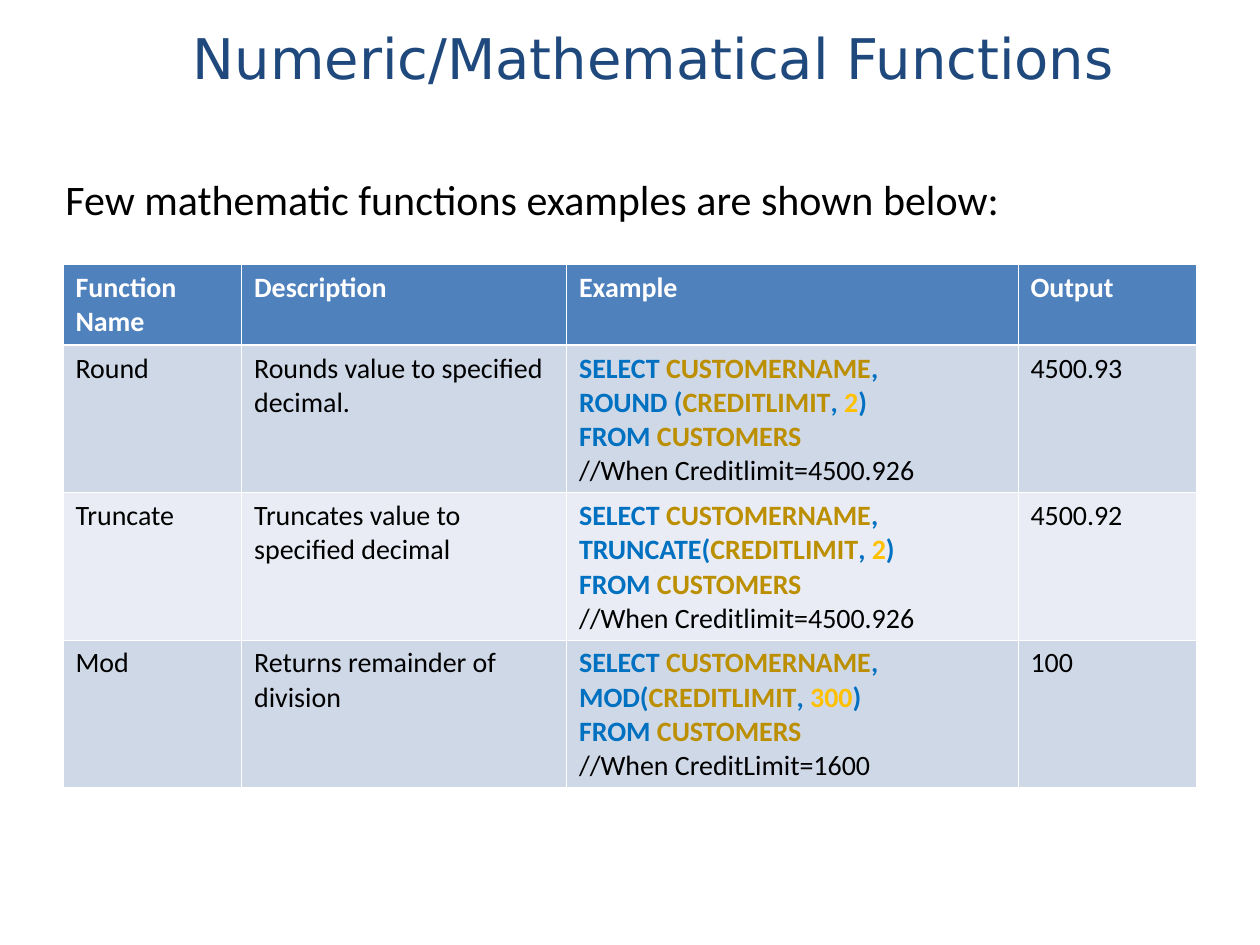
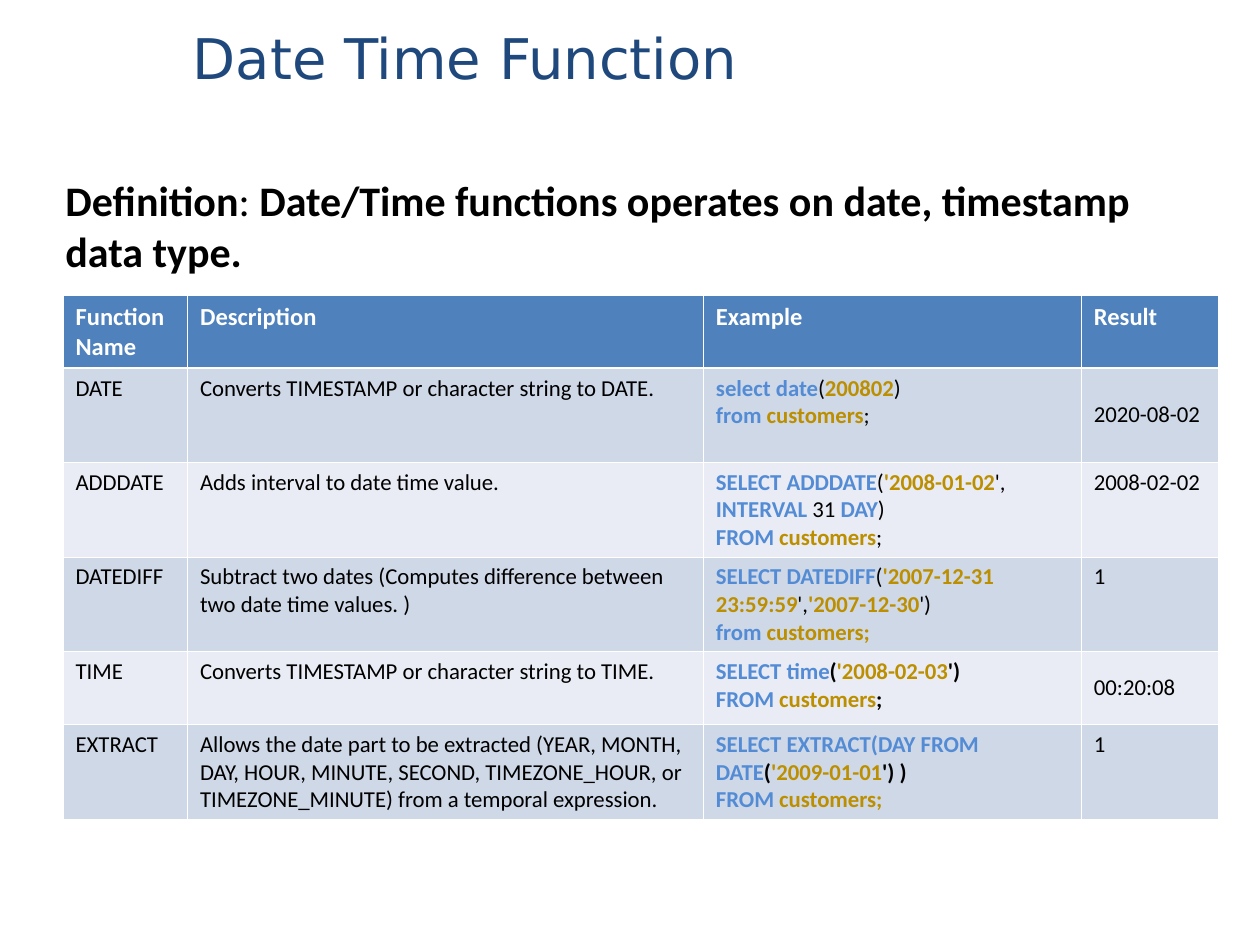
"""Build two slides that explain SQL numeric and date/time functions."""
import functools
from dataclasses import dataclass
from typing import NamedTuple

import pptx
import pptx.dml.color
import pptx.enum.text
import pptx.oxml
import pptx.oxml.ns
import pptx.util
from pptx.util import Cm

TITLE_FONT, BODY_FONT = "DejaVu Sans", "Calibri"
NAVY, BLACK, WHITE = "1F497D", "000000", "FFFFFF"
HEADER_FILL, BAND_FILLS = "4F81BD", ("CFD8E7", "E9ECF4")
BLUE, SKY, OCHRE, AMBER = "0070C0", "538CD5", "BC8F00", "FFC000"
THIN, THICK = 0.45, 1.47
TOP, MIDDLE = pptx.enum.text.MSO_ANCHOR.TOP, pptx.enum.text.MSO_ANCHOR.MIDDLE


class Run(NamedTuple):
    text: str
    color: str = BLACK
    bold: bool = False


Line = list[Run]
keyword = functools.partial(Run, color=BLUE, bold=True)
column = functools.partial(Run, color=OCHRE, bold=True)
number = functools.partial(Run, color=AMBER, bold=True)
command = functools.partial(Run, color=SKY, bold=True)
strong = functools.partial(Run, bold=True)


@dataclass
class FunctionRow:
    name: str
    description: str
    example: list[Line]
    output: str
    height: float
    output_anchor: pptx.enum.text.MSO_ANCHOR = TOP


@dataclass
class FunctionTable:
    top: float
    widths: list[float]
    header_height: float
    header_size: int
    body_size: int
    output_heading: str
    rows: list[FunctionRow]


@dataclass
class FunctionSlide:
    title: str
    intro: Line
    intro_box: tuple[float, float, float, float]
    table: FunctionTable


def numeric_row(name: str, description: str, call: list[Line],
                argument: Line, remark: str, output: str) -> FunctionRow:
    """Describe a numeric function whose example queries the customers."""
    *opening, last = call
    lines = [*opening, [*last, column("CREDITLIMIT"), *argument, keyword(")")]]
    source = [keyword("FROM "), column("CUSTOMERS")]
    return FunctionRow(name, description, [*lines, source, [Run(remark)]], output, 2.97)


CUSTOMER_NAME = [keyword("SELECT "), column("CUSTOMERNAME")]
SELECT_LINE = [*CUSTOMER_NAME, keyword(",")]
TWO_DECIMALS = [keyword(", "), number("2")]

SLIDES = [
    FunctionSlide(
        "Numeric/Mathematical Functions",
        [Run("Few mathematic functions examples are shown below:")],
        (1.07, 3.38, 24.56, 1.27),
        FunctionTable(5.33, [3.6, 6.55, 9.1, 3.6], 1.63, 16, 16, "Output", [
            numeric_row("Round", "Rounds value to specified decimal.",
                        [SELECT_LINE, [keyword("ROUND (")]], TWO_DECIMALS,
                        "//When Creditlimit=4500.926", "4500.93"),
            numeric_row("Truncate", "Truncates value to specified decimal",
                        [[*CUSTOMER_NAME, keyword(", TRUNCATE(")]], TWO_DECIMALS,
                        "//When Creditlimit=4500.926", "4500.92"),
            numeric_row("Mod", "Returns remainder of division",
                        [SELECT_LINE, [keyword("MOD(")]], [keyword(","), number(" 300")],
                        "//When CreditLimit=1600", "100"),
        ]),
    ),
    FunctionSlide(
        "Date Time Function",
        [strong("Definition"), Run(": "),
         strong("Date/Time functions operates on date, timestamp data type.")],
        (1.07, 3.4, 23.06, 2.29),
        FunctionTable(5.96, [2.51, 10.4, 7.62, 2.76], 1.46, 14, 13, "Result", [
            FunctionRow("DATE", "Converts TIMESTAMP or character string to DATE.", [
                [command("select date"), Run("("), column("200802"), Run(")")],
                [command("from "), column("customers"), Run(";")],
            ], "2020-08-02", 1.9, MIDDLE),
            FunctionRow("ADDDATE", "Adds interval to date time value.", [
                [command("SELECT ADDDATE"), Run("("), column("'2008-01-02"), Run("', "),
                 command("INTERVAL"), Run(" 31 "), command("DAY"), Run(")")],
                [command("FROM "), column("customers"), Run(";")],
            ], "2008-02-02", 1.9),
            FunctionRow("DATEDIFF", "Subtract two dates (Computes difference between "
                        "two date time values. )", [
                [command("SELECT DATEDIFF"), Run("("), column("'2007-12-31 23:59:59"),
                 Run("',"), column("'2007-12-30"), Run("')")],
                [command("from "), column("customers;")],
            ], "1", 1.9),
            FunctionRow("TIME", "Converts TIMESTAMP or character string to TIME.", [
                [command("SELECT time"), strong("("), column("'2008-02-03"), strong("')")],
                [command("FROM "), column("customers"), strong(";")],
            ], "00:20:08", 1.47, MIDDLE),
            FunctionRow("EXTRACT", "Allows the date part to be extracted (YEAR, MONTH, DAY, "
                        "HOUR, MINUTE, SECOND, TIMEZONE_HOUR, or TIMEZONE_MINUTE) "
                        "from a temporal expression.", [
                [command("SELECT EXTRACT(DAY FROM DATE"), strong("("),
                 column("'2009-01-01"), strong("') )")],
                [command("FROM "), column("customers;")],
            ], "1", 1.9),
        ]),
    ),
]


def rgb(color: str) -> pptx.dml.color.RGBColor:
    """Turn a hex string into a colour."""
    return pptx.dml.color.RGBColor.from_string(color)


def write_lines(text_frame, lines: list[Line], size: int, font_name: str = BODY_FONT) -> None:
    """Write each line as a left-aligned paragraph, run by run."""
    for index, line in enumerate(lines):
        paragraph = text_frame.add_paragraph() if index else text_frame.paragraphs[0]
        paragraph.alignment = pptx.enum.text.PP_ALIGN.LEFT
        for part in line:
            run = paragraph.add_run()
            run.text = part.text
            run.font.name = font_name
            run.font.size = pptx.util.Pt(size)
            run.font.bold = part.bold
            run.font.color.rgb = rgb(part.color)


def add_borders(cell, top: float, bottom: float) -> None:
    """Give a cell white borders of the given top and bottom widths."""
    properties = cell._tc.get_or_add_tcPr()
    for side, width in (("L", THIN), ("R", THIN), ("T", top), ("B", bottom)):
        properties.append(pptx.oxml.parse_xml(
            f'<a:ln{side} {pptx.oxml.ns.nsdecls("a")} w="{pptx.util.Pt(width)}">'
            f'<a:solidFill><a:srgbClr val="{WHITE}"/></a:solidFill></a:ln{side}>'))


def fill_row(table, row_index: int, contents: list[list[Line]], size: int, color: str) -> None:
    """Fill one table row with text, borders and a background."""
    for cell, lines in zip(table.rows[row_index].cells, contents):
        add_borders(cell, THICK if row_index == 1 else THIN, THICK if row_index == 0 else THIN)
        cell.fill.solid()
        cell.fill.fore_color.rgb = rgb(color)
        write_lines(cell.text_frame, lines, size)


def add_function_table(slide, content: FunctionTable) -> None:
    """Draw the table of functions."""
    heights = [content.header_height, *(row.height for row in content.rows)]
    table = slide.shapes.add_table(
        len(heights), len(content.widths), Cm(1.27), Cm(content.top),
        Cm(sum(content.widths)), Cm(sum(heights))).table
    for table_column, width in zip(table.columns, content.widths):
        table_column.width = Cm(width)
    for table_row, height in zip(table.rows, heights):
        table_row.height = Cm(height)
    headings = ["Function Name", "Description", "Example", content.output_heading]
    fill_row(table, 0, [[[Run(heading, WHITE, True)]] for heading in headings],
             content.header_size, HEADER_FILL)
    for index, row in enumerate(content.rows, start=1):
        contents = [[[Run(row.name)]], [[Run(row.description)]], row.example, [[Run(row.output)]]]
        fill_row(table, index, contents, content.body_size, BAND_FILLS[(index - 1) % 2])
        table.cell(index, 3).vertical_anchor = row.output_anchor


def add_title(slide, text: str) -> None:
    """Move and format the title placeholder."""
    title = slide.shapes.title
    title.left, title.top, title.width, title.height = map(Cm, (3.63, -0.43, 23.04, 3.18))
    title.text_frame.auto_size = pptx.enum.text.MSO_AUTO_SIZE.NONE
    title.text_frame.vertical_anchor = MIDDLE
    write_lines(title.text_frame, [[Run(text, NAVY)]], 32, TITLE_FONT)


def add_function_slide(presentation, content: FunctionSlide) -> None:
    """Add a slide with a title, an introduction and a function table."""
    slide = presentation.slides.add_slide(presentation.slide_layouts[5])
    add_title(slide, content.title)
    intro = slide.shapes.add_textbox(*map(Cm, content.intro_box))
    intro.text_frame.word_wrap = True
    write_lines(intro.text_frame, [content.intro], 24)
    add_function_table(slide, content.table)


def main() -> None:
    """Build and save the presentation."""
    presentation = pptx.Presentation()
    presentation.slide_width, presentation.slide_height = Cm(25.4), Cm(19.05)
    for content in SLIDES:
        add_function_slide(presentation, content)
    presentation.save("out.pptx")


if __name__ == "__main__":
    main()
